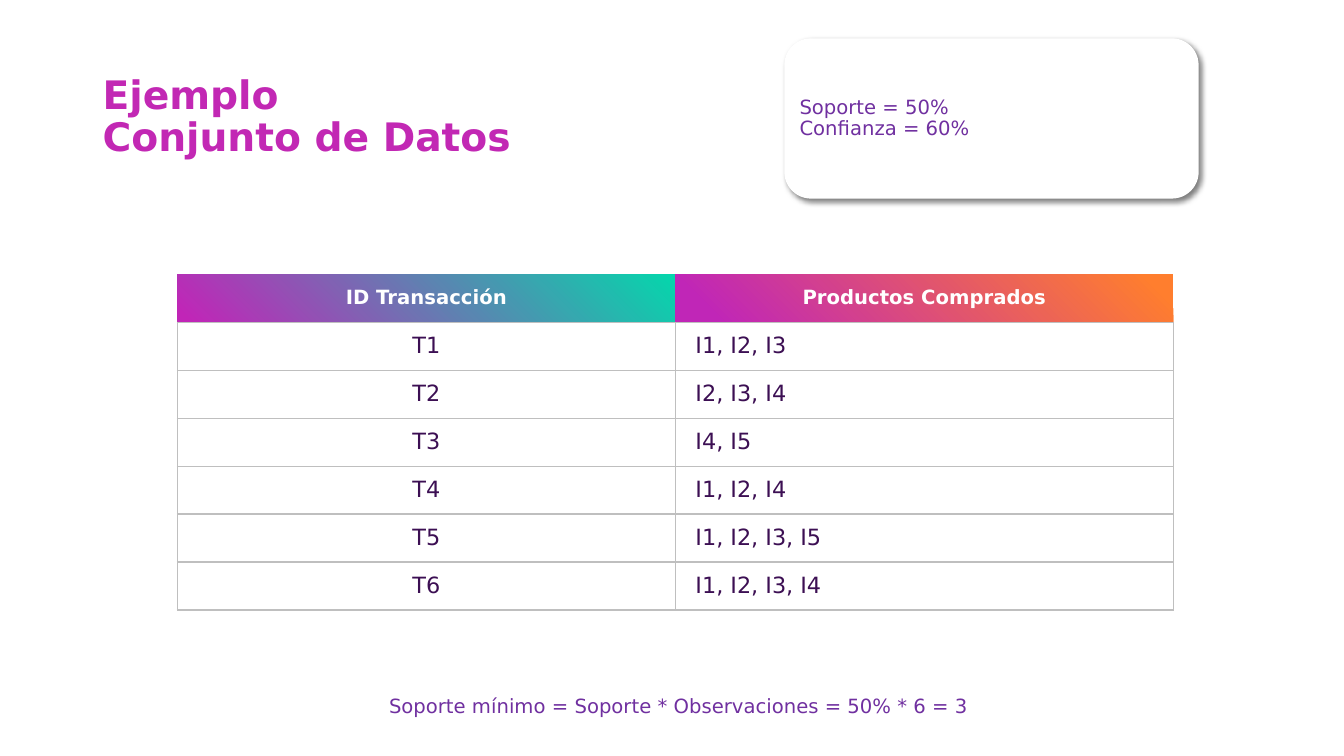
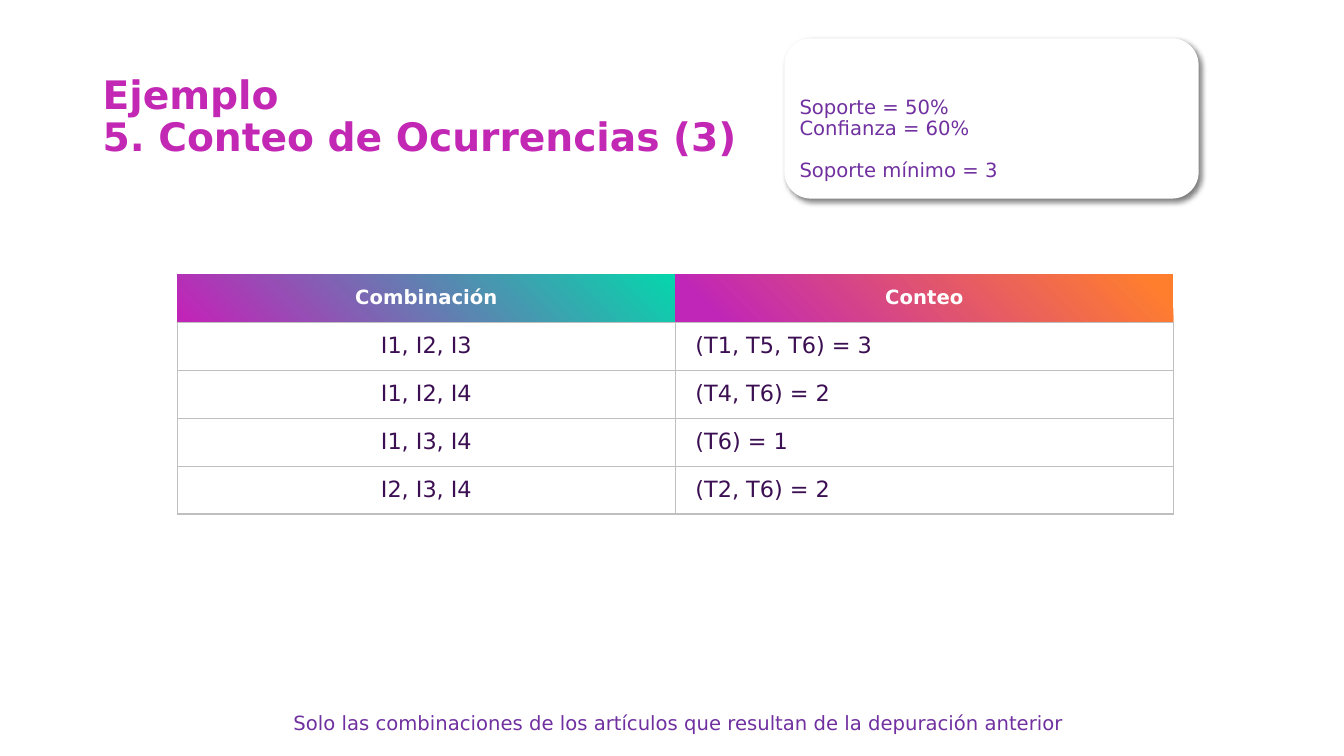
from lxml.etree import SubElement
from pptx import Presentation
from pptx.dml.color import RGBColor
from pptx.enum.shapes import MSO_SHAPE
from pptx.enum.text import MSO_ANCHOR, PP_ALIGN
from pptx.oxml import parse_xml
from pptx.oxml.ns import nsdecls, qn
from pptx.util import Inches, Pt

FONT = "DejaVu Sans"
MAGENTA = RGBColor(0xC2, 0x28, 0xB4)
PURPLE = RGBColor(0x70, 0x30, 0xA0)
DARK_PURPLE = RGBColor(0x3C, 0x0F, 0x53)
WHITE = RGBColor(0xFF, 0xFF, 0xFF)
GREY = RGBColor(0xBF, 0xBF, 0xBF)
TEAL_TO_MAGENTA = [(0.01, RGBColor(0x06, 0xD5, 0xAC)), (0.98, RGBColor(0xC1, 0x25, 0xB7))]
ORANGE_TO_MAGENTA = [(0.05, RGBColor(0xFF, 0x7E, 0x2E)), (0.92, RGBColor(0xC0, 0x26, 0xB7))]
HEADER_GRADIENTS = [TEAL_TO_MAGENTA, ORANGE_TO_MAGENTA]

# Boxes are left, top, width and height in percent of the slide
TITLE_BOX = (6.9, 9.47, 86.27, 12.13)
PANEL_BOX = (58.36, 5.07, 30.83, 21.2)
PARAMETERS_BOX = (59.49, 12.27, 28.43, 12.67)
TABLE_LEFT, TABLE_TOP, TABLE_WIDTH, ROW_HEIGHT = 13.2, 36.27, 74.1, 6.35
NOTE_LEFT, NOTE_WIDTH, NOTE_HEIGHT = 7.8, 86.12, 4.13

SLIDES = [
    {
        "title": "Ejemplo\nConjunto de Datos",
        "parameters": "Soporte = 50%\nConfianza = 60%",
        "rows": [
            ("ID Transacción", "Productos Comprados"),
            ("T1", "I1, I2, I3"),
            ("T2", "I2, I3, I4"),
            ("T3", "I4, I5"),
            ("T4", "I1, I2, I4"),
            ("T5", "I1, I2, I3, I5"),
            ("T6", "I1, I2, I3, I4"),
        ],
        "note": "Soporte mínimo = Soporte * Observaciones = 50% * 6 = 3",
        "note_top": 91.47,
    },
    {
        "title": "Ejemplo\n5. Conteo de Ocurrencias (3)",
        "parameters": "Soporte = 50%\nConfianza = 60%\nSoporte mínimo = 3",
        "rows": [
            ("Combinación", "Conteo"),
            ("I1, I2, I3", "(T1, T5, T6) = 3"),
            ("I1, I2, I4", "(T4, T6) = 2"),
            ("I1, I3, I4", "(T6) = 1"),
            ("I2, I3, I4", "(T2, T6) = 2"),
        ],
        "note": "Solo las combinaciones de los artículos que resultan de la depuración anterior",
        "note_top": 93.73,
    },
]

presentation = Presentation()
presentation.slide_width = Inches(13.33)
presentation.slide_height = Inches(7.5)
blank_layout = presentation.slide_layouts[6]


def place(left, top, width, height):
    """Turn percentages of the slide into lengths."""
    across, down = presentation.slide_width / 100, presentation.slide_height / 100
    return [int(length) for length in (left * across, top * down, width * across, height * down)]


def write(frame, text, size, color, bold=False, align=PP_ALIGN.LEFT, line_spacing=None):
    frame.text = text
    frame.word_wrap = True
    for paragraph in frame.paragraphs:
        paragraph.alignment = align
        paragraph.line_spacing = line_spacing
        for run in paragraph.runs:
            run.font.name = FONT
            run.font.size = Pt(size)
            run.font.bold = bold
            run.font.color.rgb = color


for content in SLIDES:
    slide = presentation.slides.add_slide(blank_layout)

    title = slide.shapes.add_textbox(*place(*TITLE_BOX)).text_frame
    title.vertical_anchor = MSO_ANCHOR.MIDDLE
    write(title, content["title"], 28, MAGENTA, bold=True, line_spacing=0.9)

    # Panel with a soft shadow towards the bottom right
    panel = slide.shapes.add_shape(MSO_SHAPE.ROUNDED_RECTANGLE, *place(*PANEL_BOX))
    panel.fill.solid()
    panel.fill.fore_color.rgb = WHITE
    panel.line.fill.background()
    panel.shadow.inherit = False
    effects = panel._element.spPr.find(qn("a:effectLst"))
    shadow = SubElement(effects, qn("a:outerShdw"), blurRad=str(Pt(4)), dist=str(Pt(3)),
                        dir="2700000", algn="tl", rotWithShape="0")
    shadow_color = SubElement(shadow, qn("a:srgbClr"), val="000000")
    SubElement(shadow_color, qn("a:alpha"), val="50000")

    parameters = slide.shapes.add_textbox(*place(*PARAMETERS_BOX)).text_frame
    parameters.margin_left = 0
    write(parameters, content["parameters"], 14, PURPLE, line_spacing=0.9)
    for paragraph in parameters.paragraphs[2:]:
        paragraph.space_before = Pt(15)

    rows = content["rows"]
    table_box = place(TABLE_LEFT, TABLE_TOP, TABLE_WIDTH, ROW_HEIGHT * len(rows))
    table = slide.shapes.add_table(len(rows), 2, *table_box).table
    table.first_row = table.horz_banding = False
    for row_index, texts in enumerate(rows):
        is_header = row_index == 0
        for column_index, text in enumerate(texts):
            cell = table.cell(row_index, column_index)
            cell.vertical_anchor = MSO_ANCHOR.MIDDLE
            centered = is_header or column_index == 0
            align = PP_ALIGN.CENTER if centered else PP_ALIGN.LEFT
            if is_header:
                write(cell.text_frame, text, 14, WHITE, bold=True, align=align)
                cell.fill.gradient()
                cell.fill.gradient_angle = 225
                for stop, (position, color) in zip(cell.fill.gradient_stops,
                                                   HEADER_GRADIENTS[column_index]):
                    stop.position = position
                    stop.color.rgb = color
            else:
                write(cell.text_frame, text, 16, DARK_PURPLE, align=align)
                cell.margin_left = 0 if centered else Inches(0.2)
                cell.margin_right = cell.margin_top = cell.margin_bottom = 0
                cell.fill.solid()
                cell.fill.fore_color.rgb = WHITE

            # Header cells keep only their bottom border
            properties = cell._tc.get_or_add_tcPr()
            for position, side in enumerate(("lnL", "lnR", "lnT", "lnB")):
                if is_header and side != "lnB":
                    line_fill = "<a:noFill/>"
                else:
                    line_fill = f'<a:solidFill><a:srgbClr val="{GREY}"/></a:solidFill>'
                border = f'<a:{side} {nsdecls("a")} w="{Pt(1)}">{line_fill}</a:{side}>'
                properties.insert(position, parse_xml(border))

    note_box = place(NOTE_LEFT, content["note_top"], NOTE_WIDTH, NOTE_HEIGHT)
    note = slide.shapes.add_textbox(*note_box).text_frame
    note.margin_left = 0
    write(note, content["note"], 14, PURPLE, align=PP_ALIGN.CENTER, line_spacing=0.9)

presentation.save("out.pptx")
